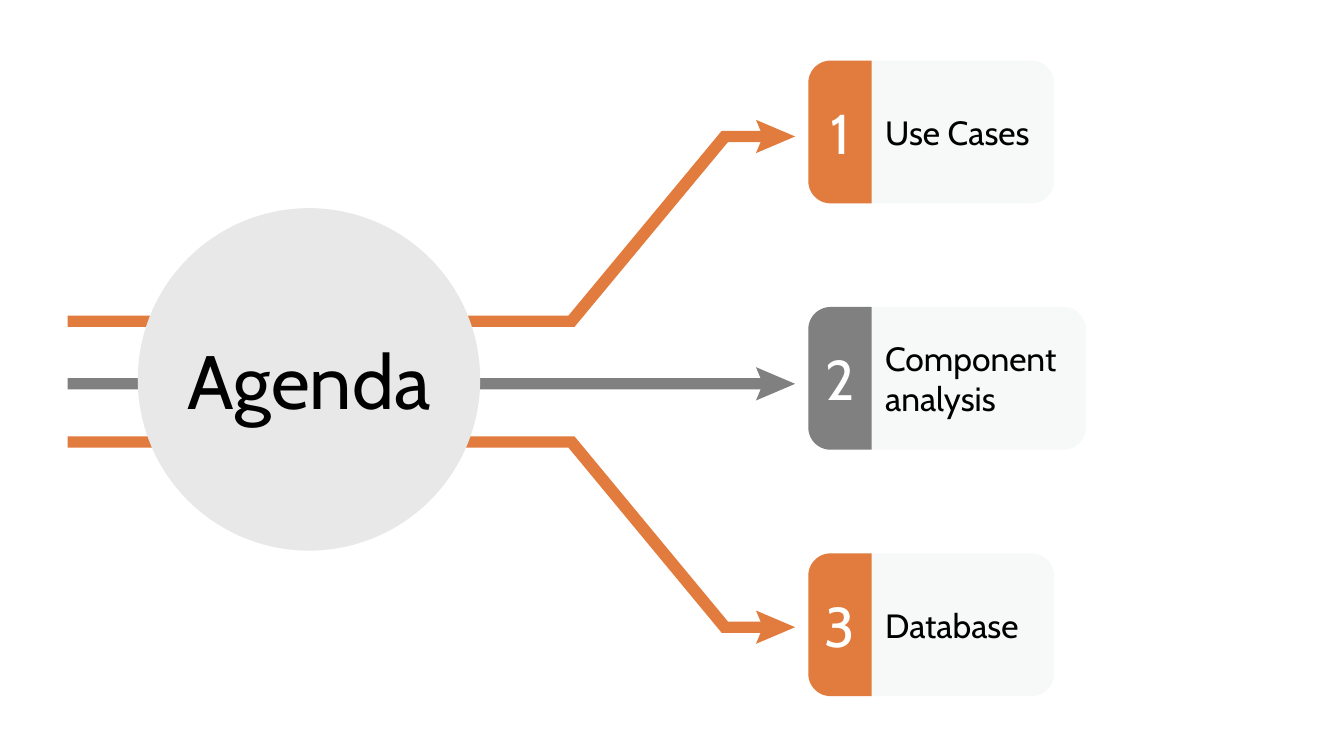
from math import cos, radians, sin

from pptx import Presentation
from pptx.dml.color import RGBColor
from pptx.enum.shapes import MSO_SHAPE as SHAPE
from pptx.enum.text import MSO_ANCHOR as ANCHOR, MSO_AUTO_SIZE as AUTO, PP_ALIGN as ALIGN
from pptx.util import Pt

rgb = RGBColor.from_string


def paint(sp, color):
    """Give a shape a plain fill with no line and no shadow."""
    sp.fill.solid()
    sp.fill.fore_color.rgb = rgb(color)
    sp.line.fill.background()
    sp.shadow.inherit = False


def write(sp, text, size, color="000000", align=ALIGN.LEFT, margin=9.6):
    tf = sp.text_frame
    tf.word_wrap = True
    tf.auto_size = AUTO.NONE
    tf.vertical_anchor = ANCHOR.MIDDLE
    tf.margin_left = tf.margin_right = tf.margin_top = tf.margin_bottom = Pt(margin)
    p = tf.paragraphs[0]
    p.alignment = align
    r = p.add_run()
    r.text = text
    r.font.name = "Cabin"
    r.font.size = Pt(size)
    r.font.color.rgb = rgb(color)


ORANGE, GREY = "E27C3E", "808080"
CARD_X, CARD_Y, CARD_H, CARD_STEP = 577.4, 43.3, 102, 176
TAB_W, RADIUS = 45.3, 16
BAND = 4  # half the thickness of an arrow line
HEAD = 11.9  # half the height of an arrowhead

# label, colour, card width, arrow height at the left and at the right
items = [
    ("Use Cases", ORANGE, 175.6, 229.5, 97.5),
    ("Component analysis", GREY, 198.3, 274.2, 274.2),
    ("Database", ORANGE, 175.6, 315.7, 448),
]

prs = Presentation()
prs.slide_width, prs.slide_height = Pt(960), Pt(540)
slide = prs.slides.add_slide(prs.slide_layouts[5])
shapes = slide.shapes

for i, (label, color, width, y0, y1) in enumerate(items):
    top = CARD_Y + i * CARD_STEP
    bottom = top + CARD_H
    tab_right = CARD_X + TAB_W

    card = shapes.add_shape(SHAPE.ROUNDED_RECTANGLE, Pt(CARD_X), Pt(top), Pt(width), Pt(CARD_H))
    card.adjustments[0] = RADIUS / CARD_H
    paint(card, "F7F9F9")

    side = BAND if y1 >= y0 else -BAND
    band = [
        (48.4, y0 + side), (406, y0 + side), (515.5, y1 + side), (547.5, y1 + side),
        (547.5, y1 - side), (520, y1 - side), (410.4, y0 - side), (48.4, y0 - side),
    ]
    head = [(540, y1 - HEAD), (545, y1), (540, y1 + HEAD), (568, y1)]
    corners = [(top + RADIUS, 270), (bottom - RADIUS, 180)]
    arcs = [
        (CARD_X + RADIUS + RADIUS * cos(radians(a)), cy + RADIUS * sin(radians(a)))
        for cy, start in corners
        for a in range(start, start - 91, -6)
    ]
    tab = [(tab_right, top), *arcs, (tab_right, bottom)]

    for outline in (band, head, tab):
        points = [(Pt(x), Pt(y)) for x, y in outline]
        builder = shapes.build_freeform(*points[0])
        builder.add_line_segments(points[1:], close=True)
        sp = builder.convert_to_shape()
        paint(sp, color)
    write(sp, str(i + 1), 40, "FFFFFF", ALIGN.CENTER)

    box = shapes.add_textbox(Pt(tab_right), Pt(top), Pt(width - TAB_W), Pt(CARD_H))
    write(box, label, 24)

hub = [Pt(v) for v in (98.4, 148.7, 244.6, 244.6)]
paint(shapes.add_shape(SHAPE.OVAL, *hub), "E8E8E8")

title = shapes.title
title.left, title.top, title.width, title.height = hub
write(title, "Agenda", 54, align=ALIGN.CENTER)
title.element.getparent().append(title.element)  # bring in front of the circle

prs.save("out.pptx")
